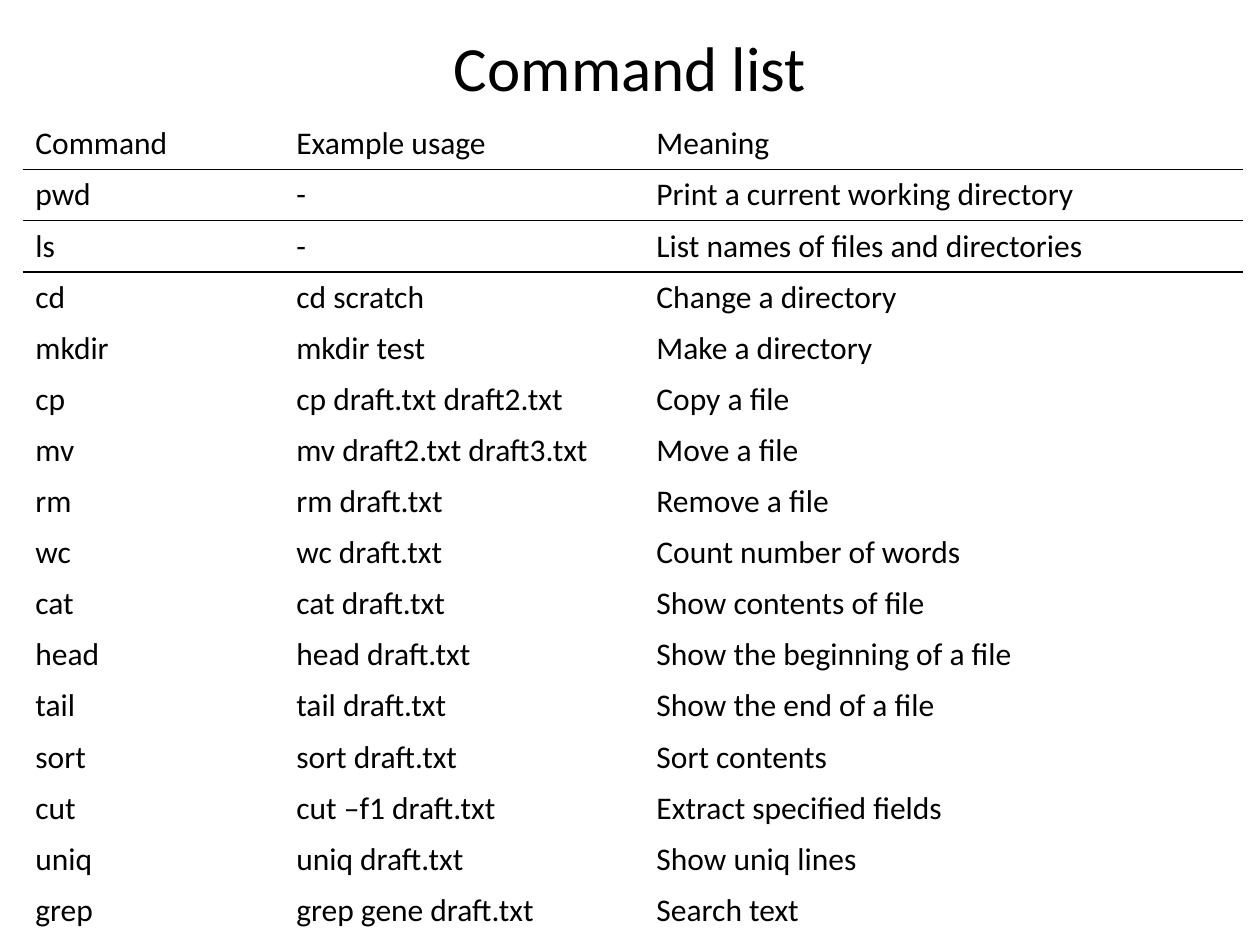
from dataclasses import dataclass
from typing import NamedTuple

from lxml.etree import SubElement
from pptx import Presentation
from pptx.dml.color import RGBColor
from pptx.enum.text import MSO_ANCHOR, PP_ALIGN
from pptx.oxml.ns import qn
from pptx.util import Cm, Pt


@dataclass(frozen=True)
class Theme:
    font: str = "Calibri"
    ink: str = "000000"
    title_size: int = 36
    table_size: int = 18
    rule_width: int = 1
    plain_table_style: str = "{2D5ABB26-0587-4C30-8999-92F81FD0307C}"


class Command(NamedTuple):
    name: str
    example: str
    meaning: str


THEME = Theme()
COLUMN_WIDTHS = (5.26, 7.26, 12.07)
ROW_HEIGHT = 1.03
RULED_ROWS = (0, 1)  # rows with a line below them
ROWS = [
    Command("Command", "Example usage", "Meaning"),
    Command("pwd", "-", "Print a current working directory"),
    Command("ls", "-", "List names of files and directories"),
    Command("cd", "cd scratch", "Change a directory"),
    Command("mkdir", "mkdir test", "Make a directory"),
    Command("cp", "cp draft.txt draft2.txt", "Copy a file"),
    Command("mv", "mv draft2.txt draft3.txt", "Move a file"),
    Command("rm", "rm draft.txt", "Remove a file"),
    Command("wc", "wc draft.txt", "Count number of words"),
    Command("cat", "cat draft.txt", "Show contents of file"),
    Command("head", "head draft.txt", "Show the beginning of a file"),
    Command("tail", "tail draft.txt", "Show the end of a file"),
    Command("sort", "sort draft.txt", "Sort contents"),
    Command("cut", "cut –f1 draft.txt", "Extract specified fields"),
    Command("uniq", "uniq draft.txt", "Show uniq lines"),
    Command("grep", "grep gene draft.txt", "Search text"),
]


def write_text(text_frame, text: str, size: int, alignment=PP_ALIGN.LEFT) -> None:
    text_frame.text = text
    paragraph = text_frame.paragraphs[0]
    paragraph.alignment = alignment
    font = paragraph.runs[0].font
    font.name = THEME.font
    font.size = Pt(size)
    font.color.rgb = RGBColor.from_string(THEME.ink)


def add_border(cell, side: str) -> None:
    """Draw one cell border; side is 'T' or 'B', and T has to come first."""
    properties = cell._tc.get_or_add_tcPr()
    line = SubElement(properties, qn(f"a:ln{side}"), w=str(Pt(THEME.rule_width)))
    fill = SubElement(line, qn("a:solidFill"))
    SubElement(fill, qn("a:srgbClr"), val=THEME.ink)


def add_title(slide, text: str) -> None:
    title = slide.shapes.add_textbox(Cm(1.27), Cm(0.25), Cm(22.86), Cm(2.16))
    title.text_frame.word_wrap = True
    title.text_frame.vertical_anchor = MSO_ANCHOR.MIDDLE
    write_text(title.text_frame, text, THEME.title_size, PP_ALIGN.CENTER)


def add_command_table(slide, rows: list[Command]) -> None:
    table = slide.shapes.add_table(
        len(rows), len(COLUMN_WIDTHS), Cm(0.46), Cm(2.39),
        Cm(sum(COLUMN_WIDTHS)), Cm(ROW_HEIGHT * len(rows)),
    ).table
    table.first_row = table.horz_banding = False
    table._tbl.tblPr.find(qn("a:tableStyleId")).text = THEME.plain_table_style
    for column, width in zip(table.columns, COLUMN_WIDTHS):
        column.width = Cm(width)
    for row_index, command in enumerate(rows):
        table.rows[row_index].height = Cm(ROW_HEIGHT)
        for column_index, text in enumerate(command):
            cell = table.cell(row_index, column_index)
            write_text(cell.text_frame, text, THEME.table_size)
            if row_index - 1 in RULED_ROWS:
                add_border(cell, "T")
            if row_index in RULED_ROWS:
                add_border(cell, "B")
            cell.fill.background()


def main() -> None:
    presentation = Presentation()
    presentation.slide_width = Cm(25.4)
    presentation.slide_height = Cm(19.05)
    slide = presentation.slides.add_slide(presentation.slide_layouts[6])
    add_title(slide, "Command list")
    add_command_table(slide, ROWS)
    presentation.save("out.pptx")


if __name__ == "__main__":
    main()
